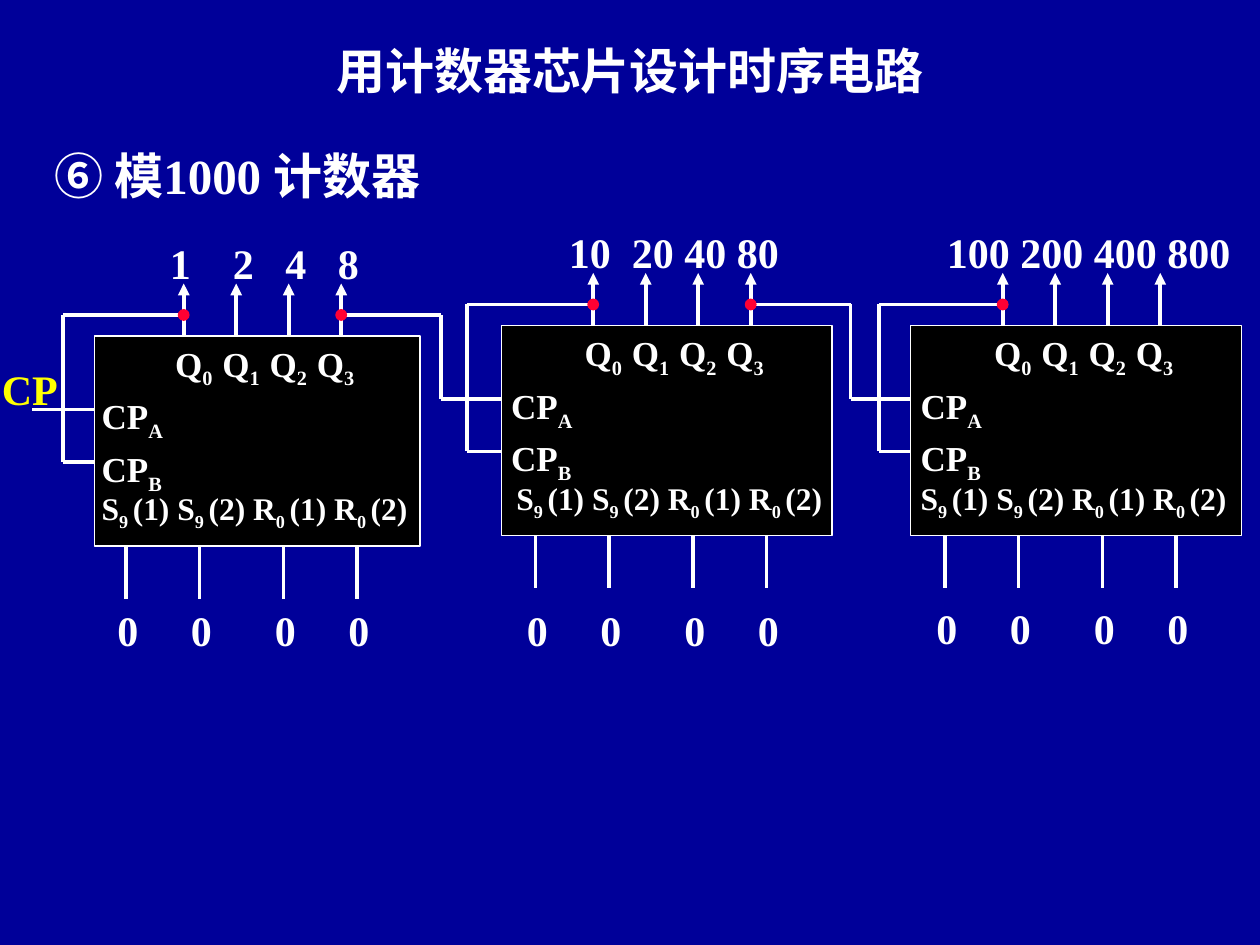
from dataclasses import dataclass

from lxml.etree import SubElement
from pptx import Presentation
from pptx.dml.color import RGBColor
from pptx.enum.shapes import MSO_CONNECTOR as CONN, MSO_SHAPE as SHAPE
from pptx.enum.text import MSO_AUTO_SIZE as AUTO, PP_ALIGN as ALIGN
from pptx.oxml.ns import qn
from pptx.util import Inches, Pt


@dataclass(frozen=True)
class Theme:
    """Colours, fonts and sizes of the slide."""
    back: str = "000099"
    ink: str = "FFFFFF"
    chip: str = "000000"
    dot: str = "FF0033"
    clock: str = "FFFF00"
    serif: str = "Times New Roman"
    sans: str = "Arial"
    head: int = 28
    value: int = 24
    pin: int = 20
    small: int = 18
    wire: float = 2.25
    edge: float = 0.75


@dataclass(frozen=True)
class Chip:
    """One counter chip: its grid box and what differs around it."""
    x: float
    y: float
    left: float
    width: float
    loop_x: float
    clock_x: float
    weights: str
    weights_x: float
    weights_w: float
    weight_tabs: tuple = ()
    reset_x: float = -1
    zero_y: float = 52


T = Theme()
COLS, ROWS = 240, 180
Q_PINS = (17, 27, 37, 47)
RESET_PINS = (6, 20, 36, 50)
ZERO_TABS = (14, 30, 44)
Q_TABS = (9, 18, 27)
LOOP_Y, CPA_Y, CPB_Y, HEIGHT = -4, 14, 24, 40
CHIPS = (
    Chip(18, 64, 18, 62, 12, 6, "1\t2\t4\t8", 12, 46, (12, 22, 32)),
    Chip(96, 62, 95.5, 63, 89, 84, "10\t20\t40\t80", 10, 60, (12, 22, 32), 0),
    Chip(174, 62, 173.5, 63, 167.5, 162, "100 200 400 800", 4, 68,
         zero_y=51.5),
)


def cell(n):
    """Turn grid cells into a length, 24 cells to the inch."""
    return Inches(n / 24)


def rgb(color):
    """Make a colour from its hex form."""
    return RGBColor.from_string(color)


def add_text(s, text, x, y, w, size=T.value, color=T.ink, font=T.serif,
             align=None, tabs=()):
    """Add a bold text box; every second part between bars is a subscript."""
    sp = s.shapes.add_textbox(cell(x), cell(y), cell(w),
                              Inches(size / 60 + 0.1))
    tf = sp.text_frame
    tf.word_wrap = True
    tf.auto_size = AUTO.SHAPE_TO_FIT_TEXT
    p = tf.paragraphs[0]
    if align is not None:
        p.alignment = align
    if tabs:
        stops = SubElement(p._p.get_or_add_pPr(), qn("a:tabLst"))
        for t in tabs:
            SubElement(stops, qn("a:tab"), pos=str(cell(t)), algn="l")
    for i, part in enumerate(text.split("|")):
        if not part:
            continue
        r = p.add_run()
        r.text = part
        r.font.name, r.font.size, r.font.bold = font, Pt(size), True
        r.font.color.rgb = rgb(color)
        if i % 2:
            r.font._element.set("baseline", "-25000")


def add_solid(s, kind, x, y, w, h, fill, line):
    """Add a filled and outlined preset shape."""
    sp = s.shapes.add_shape(kind, cell(x), cell(y), cell(w), cell(h))
    sp.shadow.inherit = False
    sp.fill.solid()
    sp.fill.fore_color.rgb = rgb(fill)
    sp.line.color.rgb = rgb(line)
    sp.line.width = Pt(T.edge)


def add_wire(s, *points, arrow=False):
    """Join the points with straight wires."""
    for a, b in zip(points, points[1:]):
        c = s.shapes.add_connector(CONN.STRAIGHT, *map(cell, a + b))
        c.line.color.rgb = rgb(T.ink)
        c.line.width = Pt(T.wire)
        if arrow:
            SubElement(c.line._get_or_add_ln(), qn("a:tailEnd"),
                       type="triangle")
        SubElement(c._element.spPr, qn("a:effectLst"))


def add_dot(s, x, y):
    """Mark a junction of wires."""
    add_solid(s, SHAPE.OVAL, x - 1, y - 1, 2, 2, T.dot, T.dot)


def draw_heading(s):
    """Place the title and the heading."""
    add_text(s, "用计数器芯片设计时序电路", 0, 6.5, COLS, T.head,
             font=T.sans, align=ALIGN.CENTER)
    add_text(s, "⑥ 模1000 计数器", 8, 26.5, 136.5, T.head)


def draw_chip(s, chip):
    """Place the chip body, its pin names, values and own wires."""
    x, y, left = chip.x, chip.y, chip.left
    add_solid(s, SHAPE.RECTANGLE, left, y, chip.width, HEIGHT, T.chip, T.ink)
    add_text(s, "Q|0\t|Q|1\t|Q|2\t|Q|3", x + 13, y, 50, T.pin, tabs=Q_TABS)
    add_text(s, "CP|A", x - 1, y + 10, 24, T.pin)
    add_text(s, "CP|B", x - 1, y + 20, 24, T.pin)
    add_text(s, "S|9 |(1) S|9 |(2) R|0 |(1) R|0 |(2)",
             x + chip.reset_x, y + 28, 74, T.small)
    for q in Q_PINS:
        add_wire(s, (x + q, y), (x + q, y - 10), arrow=True)
    for pin in RESET_PINS:
        add_wire(s, (x + pin, y + HEIGHT), (x + pin, y + HEIGHT + 10))
    add_wire(s, (x + Q_PINS[0], y + LOOP_Y), (chip.loop_x, y + LOOP_Y),
             (chip.loop_x, y + CPB_Y), (left, y + CPB_Y))
    add_wire(s, (left, y + CPA_Y), (chip.clock_x, y + CPA_Y))
    add_dot(s, x + Q_PINS[0], y + LOOP_Y)
    add_text(s, chip.weights, x + chip.weights_x, y - 20, chip.weights_w,
             tabs=chip.weight_tabs)
    add_text(s, "0\t0\t0\t0", x + 2, 62 + chip.zero_y, 64, tabs=ZERO_TABS)


def draw_carry(s, chip, following):
    """Wire the last output of a chip to the clock of the following one."""
    q, y = chip.x + Q_PINS[-1], chip.y + LOOP_Y
    bend = following.clock_x
    add_wire(s, (bend, following.y + CPA_Y), (bend, y), (q, y))
    add_dot(s, q, y)


def main():
    """Build and save the slide."""
    prs = Presentation()
    prs.slide_width, prs.slide_height = cell(COLS), cell(ROWS)
    s = prs.slides.add_slide(prs.slide_layouts[6])
    s.background.fill.solid()
    s.background.fill.fore_color.rgb = rgb(T.back)
    draw_heading(s)
    for chip in CHIPS:
        draw_chip(s, chip)
    for chip, following in zip(CHIPS, CHIPS[1:]):
        draw_carry(s, chip, following)
    add_text(s, "CP", -2, 68, 20, color=T.clock)
    prs.save("out.pptx")


if __name__ == "__main__":
    main()
